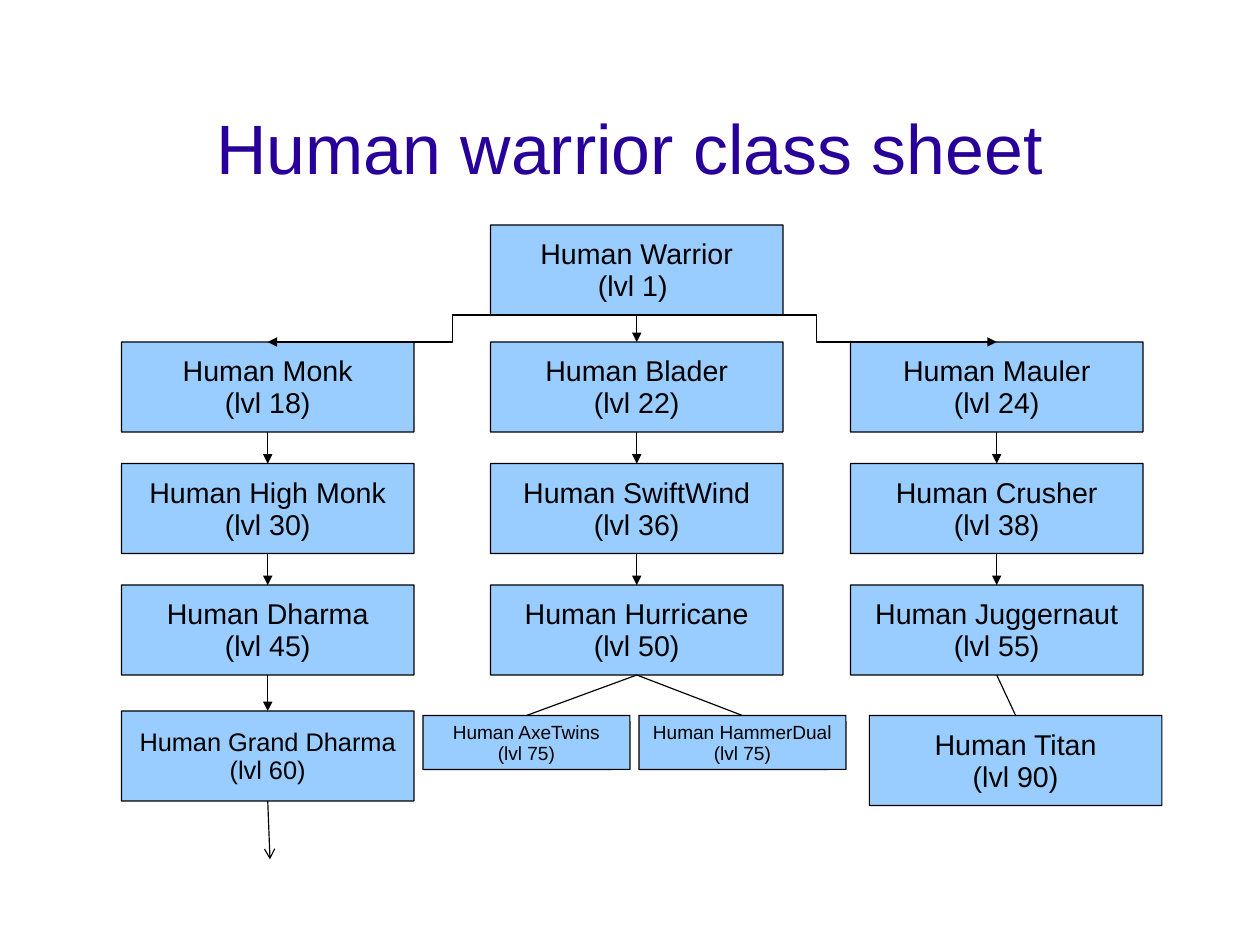
from lxml import etree
from pptx import Presentation
from pptx import util as u
from pptx.dml.color import RGBColor
from pptx.enum import shapes, text
from pptx.oxml.ns import qn

theme = dict(
    font="Arial", title=RGBColor.from_string("280099"),
    box=RGBColor.from_string("99CCFF"), ink=RGBColor.from_string("000000"),
    title_size=44, class_size=18, grand_size=16, dual_size=12,
    line_width=0.75, spacing=0.93,
)

# Grid of the class tree, in centimetres
columns = [2.7, 10.9, 18.9]
first_row, row_pitch = 7.6, 2.7
box_w, box_h = 6.5, 2
dual_w, dual_h = 4.6, 1.2
last_row = 15.9
TOP, BOTTOM = 0, 2

deck = Presentation()
deck.slide_width, deck.slide_height = u.Cm(28), u.Cm(21)
slide = deck.slides.add_slide(deck.slide_layouts[5])


def add_class(label, left, top, width=box_w, height=box_h, size=theme["class_size"]):
    box = slide.shapes.add_shape(shapes.MSO_SHAPE.ROUNDED_RECTANGLE,
                                 *map(u.Cm, (left, top, width, height)))
    box.adjustments[0] = 0.002
    box.shadow.inherit = False
    box.fill.solid()
    box.fill.fore_color.rgb = theme["box"]
    box.line.color.rgb = theme["ink"]
    box.line.width = u.Pt(theme["line_width"])
    frame = box.text_frame
    frame.word_wrap = True
    frame.vertical_anchor = text.MSO_ANCHOR.MIDDLE
    frame.margin_left = frame.margin_right = u.Inches(0.1)
    frame.margin_top, frame.margin_bottom = u.Inches(0.07), u.Inches(0.05)
    frame.text = label
    for paragraph in frame.paragraphs:
        paragraph.alignment = text.PP_ALIGN.CENTER
        paragraph.line_spacing = theme["spacing"]
        paragraph.font.name = theme["font"]
        paragraph.font.size = u.Pt(size)
        paragraph.font.color.rgb = theme["ink"]
    return box


def add_link(start, end, head=None, kind=shapes.MSO_CONNECTOR.STRAIGHT):
    link = slide.shapes.add_connector(kind, *start, *end)
    link.line.color.rgb = theme["ink"]
    link.line.width = u.Pt(theme["line_width"])
    if head:
        etree.SubElement(link.line._get_or_add_ln(), qn("a:tailEnd"), type=head)
    etree.SubElement(link._element.spPr, qn("a:effectLst"))
    return link


# Title
title = slide.shapes.title
title.left, title.top, title.width, title.height = map(u.Cm, (2, 1.55, 24, 3.5))
heading = title.text_frame
heading.text = "Human warrior class sheet"
heading.vertical_anchor = text.MSO_ANCHOR.MIDDLE
heading.margin_left = heading.margin_right = heading.margin_bottom = 0
heading.margin_top = u.Inches(0.04)
heading_line = heading.paragraphs[0]
heading_line.alignment = text.PP_ALIGN.CENTER
heading_line.line_spacing = theme["spacing"]
heading_line.font.name = theme["font"]
heading_line.font.size = u.Pt(theme["title_size"])
heading_line.font.color.rgb = theme["title"]

# Starting class and the three branches below it
warrior = add_class("Human Warrior\n(lvl 1) ", columns[1], 5)
branch_labels = [
    ["Human Monk\n(lvl 18)", "Human High Monk\n(lvl 30)", "Human Dharma\n(lvl 45)"],
    ["Human Blader\n(lvl 22)", "Human SwiftWind\n(lvl 36)", "Human Hurricane\n(lvl 50)"],
    ["Human Mauler\n(lvl 24)", "Human Crusher\n(lvl 38)", "Human Juggernaut\n(lvl 55)"],
]
branches = [[add_class(label, left, first_row + row * row_pitch)
             for row, label in enumerate(labels)]
            for left, labels in zip(columns, branch_labels)]
monks, bladers, maulers = branches

# Final classes
grand_dharma = add_class("Human Grand Dharma\n(lvl 60)", columns[0], 15.8,
                         size=theme["grand_size"])
axe_twins, hammer_dual = [
    add_class(label, left, last_row, dual_w, dual_h, theme["dual_size"])
    for label, left in (("Human AxeTwins\n(lvl 75)", 9.4),
                        ("Human HammerDual\n(lvl 75)", 14.2))]
titan = add_class("Human Titan\n(lvl 90)", 19.32, last_row)

# Straight links: arrows down each branch, plain lines to the last classes
steps = [(warrior, bladers[0], "triangle"), (monks[-1], grand_dharma, "triangle"),
         (bladers[-1], axe_twins, None), (bladers[-1], hammer_dual, None),
         (maulers[-1], titan, None)]
for branch in branches:
    steps += [(upper, lower, "triangle") for upper, lower in zip(branch, branch[1:])]
for upper, lower, head in steps:
    link = add_link((0, 0), (0, 0), head)
    link.begin_connect(upper, BOTTOM)
    link.end_connect(lower, TOP)

# Elbow arrows from the warrior to the outer branches
warrior_foot = (warrior.left + warrior.width // 2, warrior.top + warrior.height)
for outer in (monks[0], maulers[0]):
    add_link(warrior_foot, (outer.left + outer.width // 2, outer.top),
             "triangle", shapes.MSO_CONNECTOR.ELBOW)

# Open arrow below the Grand Dharma
onward = add_link((0, 0), (u.Cm(6), u.Cm(19.1)), "arrow")
onward.begin_connect(grand_dharma, BOTTOM)

deck.save("out.pptx")
